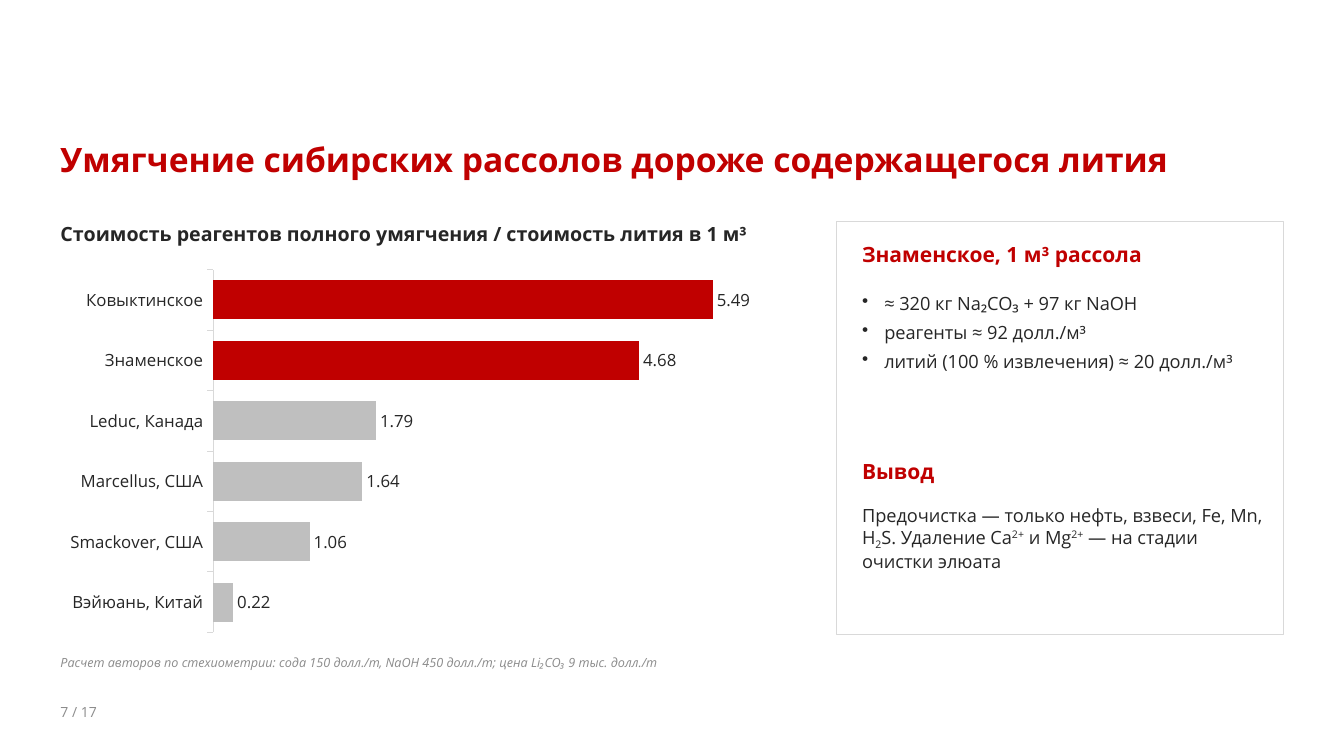
from dataclasses import dataclass

from lxml import etree
from pptx import Presentation
from pptx import util as u
from pptx.chart import data as chart_data
from pptx.dml.color import RGBColor
from pptx.enum import chart as chart_enum
from pptx.enum import shapes, text
from pptx.oxml import ns
from pptx.slide import Slide

FONT = "Open Sans"
RED = RGBColor(0xC0, 0x00, 0x00)
DARK = RGBColor(0x26, 0x26, 0x26)
MUTED = RGBColor(0x8C, 0x8C, 0x8C)
BAR_GRAY = RGBColor(0xBF, 0xBF, 0xBF)
LINE_GRAY = RGBColor(0xD9, 0xD9, 0xD9)
WHITE = RGBColor(0xFF, 0xFF, 0xFF)

SUBSCRIPT = -25
SUPERSCRIPT = 30


@dataclass(frozen=True)
class Span:
    content: str
    baseline: int = 0


@dataclass(frozen=True)
class TextBlock:
    left: float
    top: float
    width: float
    height: float
    paragraphs: tuple[tuple[Span, ...], ...]
    size: int
    color: RGBColor
    bold: bool = False
    italic: bool = False
    bulleted: bool = False


@dataclass(frozen=True)
class Deposit:
    name: str
    ratio: float
    color: RGBColor = BAR_GRAY


def plain(*lines: str) -> tuple[tuple[Span, ...], ...]:
    return tuple((Span(line),) for line in lines)


HEADINGS = (
    TextBlock(0.6, 1.38, 12.13, 0.7,
              plain("Умягчение сибирских рассолов дороже содержащегося лития"),
              24, RED, bold=True),
    TextBlock(0.6, 6.98, 1.5, 0.25, plain("7 / 17"), 10, MUTED),
    TextBlock(0.6, 6.5, 9.9, 0.4,
              plain("Расчет авторов по стехиометрии: сода 150 долл./т, "
                    "NaOH 450 долл./т; цена Li₂CO₃ 9 тыс. долл./т"),
              9, MUTED, italic=True),
    TextBlock(0.6, 2.2, 7.3, 0.35,
              plain("Стоимость реагентов полного умягчения / стоимость лития в 1 м³"),
              14, DARK, bold=True),
)

PANEL_TEXTS = (
    TextBlock(8.55, 2.4, 3.93, 0.35, plain("Знаменское, 1 м³ рассола"),
              15, RED, bold=True),
    TextBlock(8.55, 2.9, 3.98, 1.6,
              plain("≈ 320 кг Na₂CO₃ + 97 кг NaOH",
                    "реагенты ≈ 92 долл./м³",
                    "литий (100 % извлечения) ≈ 20 долл./м³"),
              13, DARK, bulleted=True),
    TextBlock(8.55, 4.55, 3.93, 0.35, plain("Вывод"), 15, RED, bold=True),
    TextBlock(8.55, 5, 3.98, 1.25,
              ((Span("Предочистка — только нефть, взвеси, Fe, Mn, H"),
                Span("2", SUBSCRIPT),
                Span("S. Удаление Ca"),
                Span("2+", SUPERSCRIPT),
                Span(" и Mg"),
                Span("2+", SUPERSCRIPT),
                Span(" — на стадии очистки элюата")),),
              13, DARK),
)

DEPOSITS = (
    Deposit("Вэйюань, Китай", 0.22),
    Deposit("Smackover, США", 1.06),
    Deposit("Marcellus, США", 1.64),
    Deposit("Leduc, Канада", 1.79),
    Deposit("Знаменское", 4.68, RED),
    Deposit("Ковыктинское", 5.49, RED),
)


def add_bullet(paragraph) -> None:
    properties = paragraph._p.get_or_add_pPr()
    properties.set("marL", str(u.Inches(0.22)))
    properties.set("indent", str(u.Inches(-0.22)))
    etree.SubElement(properties, ns.qn("a:buChar")).set("char", "•")
    paragraph.space_after = u.Pt(5)


def add_text(slide: Slide, block: TextBlock) -> None:
    shape = slide.shapes.add_textbox(
        u.Inches(block.left), u.Inches(block.top),
        u.Inches(block.width), u.Inches(block.height))
    frame = shape.text_frame
    frame.word_wrap = True
    frame.vertical_anchor = text.MSO_ANCHOR.TOP
    frame.margin_left = frame.margin_right = 0
    frame.margin_top = frame.margin_bottom = 0
    for index, spans in enumerate(block.paragraphs):
        paragraph = frame.add_paragraph() if index else frame.paragraphs[0]
        if block.bulleted:
            add_bullet(paragraph)
        for span in spans:
            run = paragraph.add_run()
            run.text = span.content
            run.font.name = FONT
            run.font.size = u.Pt(block.size)
            run.font.bold = block.bold
            run.font.italic = block.italic
            run.font.color.rgb = block.color
            if span.baseline:
                run._r.get_or_add_rPr().set("baseline", str(span.baseline * 1000))


def add_panel(slide: Slide) -> None:
    panel = slide.shapes.add_shape(
        shapes.MSO_SHAPE.RECTANGLE,
        u.Inches(8.3), u.Inches(2.2), u.Inches(4.43), u.Inches(4.1))
    panel.shadow.inherit = False
    panel.fill.solid()
    panel.fill.fore_color.rgb = WHITE
    panel.line.color.rgb = LINE_GRAY
    panel.line.width = u.Pt(0.75)


def add_cost_chart(slide: Slide) -> None:
    costs = chart_data.CategoryChartData()
    costs.categories = [deposit.name for deposit in DEPOSITS]
    costs.add_series("Series 1", [deposit.ratio for deposit in DEPOSITS])
    chart = slide.shapes.add_chart(
        chart_enum.XL_CHART_TYPE.BAR_CLUSTERED,
        u.Inches(0.55), u.Inches(2.6), u.Inches(7.4), u.Inches(3.75), costs).chart
    chart.has_legend = False
    chart.has_title = False
    chart.font.name = FONT
    chart.font.size = u.Pt(12)
    chart.font.color.rgb = DARK

    category_axis = chart.category_axis
    category_axis.major_tick_mark = chart_enum.XL_TICK_MARK.OUTSIDE
    category_axis.format.line.color.rgb = LINE_GRAY
    category_axis.format.line.width = u.Pt(0.75)
    value_axis = chart.value_axis
    value_axis.minimum_scale = 0
    value_axis.maximum_scale = 6.3
    value_axis.has_major_gridlines = False
    value_axis.visible = False

    plot = chart.plots[0]
    plot.gap_width = 55
    plot.vary_by_categories = False
    plot.has_data_labels = True
    labels = plot.data_labels
    labels.show_value = True
    labels.position = chart_enum.XL_LABEL_POSITION.OUTSIDE_END
    labels.number_format = "0.00"
    labels.number_format_is_linked = False
    labels.font.name = FONT
    labels.font.size = u.Pt(12)
    labels.font.color.rgb = DARK

    series = plot.series[0]
    series.format.fill.solid()
    series.format.fill.fore_color.rgb = BAR_GRAY
    for index, deposit in enumerate(DEPOSITS):
        if deposit.color != BAR_GRAY:
            fill = series.points[index].format.fill
            fill.solid()
            fill.fore_color.rgb = deposit.color


def main() -> None:
    presentation = Presentation()
    presentation.slide_width = u.Inches(13.33)
    presentation.slide_height = u.Inches(7.5)
    slide = presentation.slides.add_slide(presentation.slide_layouts[6])
    for block in HEADINGS:
        add_text(slide, block)
    add_cost_chart(slide)
    add_panel(slide)
    for block in PANEL_TEXTS:
        add_text(slide, block)
    presentation.save("out.pptx")


if __name__ == "__main__":
    main()
